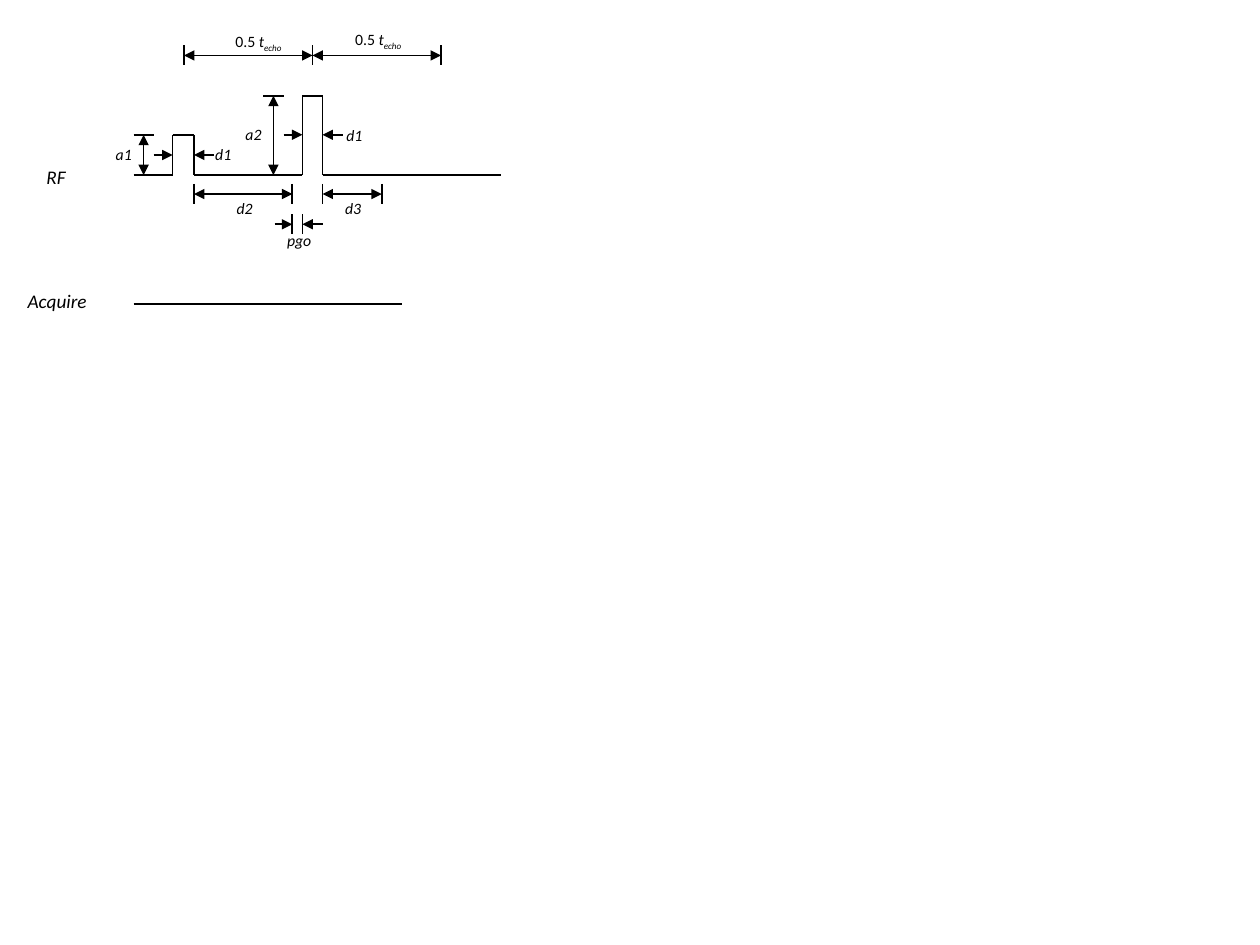
from itertools import pairwise

from lxml.etree import SubElement as Sub
from pptx import Presentation as Deck
from pptx.dml.color import RGBColor as Rgb
from pptx.enum.shapes import MSO_CONNECTOR as Link
from pptx.enum.text import MSO_AUTO_SIZE as Fit
from pptx.oxml.ns import qn
from pptx.util import Inches, Pt


def shade(code):
    return Rgb.from_string(code)


class Pen:
    """Draws timing lines, arrows and labels in one style on a slide."""

    ink = "000000"
    face = "Calibri"

    def __init__(self, slide):
        self.shapes = slide.shapes

    def line(self, start, end, head=False, tail=False):
        ends = [Inches(v) for v in (*start, *end)]
        link = self.shapes.add_connector(Link.STRAIGHT, *ends)
        link.line.width = Pt(1)
        link.line.color.rgb = shade(self.ink)
        stroke = link.line._get_or_add_ln()
        for tag, shown in {"a:headEnd": head, "a:tailEnd": tail}.items():
            if shown:
                Sub(stroke, qn(tag), type="triangle")
        Sub(link._element.spPr, qn("a:effectLst"))

    def trace(self, points):
        for start, end in pairwise(points):
            self.line(start, end)

    def span(self, start, end):
        self.line(start, end, head=True, tail=True)

    def arrow(self, start, end):
        self.line(start, end, tail=True)

    def ticks(self, y, *spots):
        for x in spots:
            self.line((x, y - 0.08), (x, y + 0.08))

    def rule(self, x, y):
        self.line((x - 0.08, y), (x + 0.08, y))

    def label(self, box, *runs, size=9):
        frame = self.shapes.add_textbox(*map(Inches, box)).text_frame
        frame.word_wrap = False
        frame.auto_size = Fit.SHAPE_TO_FIT_TEXT
        for text, slant, drop in runs:
            run = frame.paragraphs[0].add_run()
            run.text = text
            look = {"name": self.face, "size": Pt(size), "italic": slant}
            for key, value in look.items():
                setattr(run.font, key, value)
            run.font.color.rgb = shade(self.ink)
            if drop:
                run._r.get_or_add_rPr().set("baseline", "-25000")


def main():
    deck = Deck()
    deck.slide_width, deck.slide_height = Inches(10), Inches(7.5)
    pen = Pen(deck.slides.add_slide(deck.slide_layouts[6]))

    base, low, high = 1.39, 1.07, 0.76
    rise, fall = 1.37, 1.54
    left, right = 2.4, 2.56
    pen.trace([(1.06, base), (rise, base), (rise, low), (fall, low),
               (fall, base), (left, base), (left, high), (right, high),
               (right, base), (3.98, base)])
    pen.line((1.06, 2.41), (3.19, 2.41))

    echo = (1.46, 2.48, 3.5)
    pen.ticks(0.44, *echo)
    for start, end in pairwise(echo):
        pen.span((start, 0.44), (end, 0.44))
    for x, y in ((1.77, 0.2), (2.72, 0.19)):
        pen.label((x, y, 0.59, 0.25), ("0.5 ", False, False),
                  ("t", True, False), ("echo", True, True))

    for x, top in ((1.14, low), (2.17, high)):
        pen.span((x, top), (x, base))
        pen.rule(x, top)

    for near, far, y in ((rise, fall, 1.23), (left, right, low)):
        pen.arrow((near - 0.15, y), (near, y))
        pen.arrow((far + 0.16, y), (far, y))

    for start, end in ((fall, 2.32), (right, 3.03)):
        pen.span((start, 1.54), (end, 1.54))
        pen.ticks(1.54, start, end)

    pen.ticks(1.78, 2.32, left)
    pen.arrow((2.18, 1.78), (2.32, 1.78))
    pen.arrow((right, 1.78), (left, 1.78))

    names = [("a1", 0.82, 1.1), ("d1", 1.61, 1.1), ("d1", 2.65, 0.95),
             ("a2", 1.85, 0.94), ("d2", 1.78, 1.53), ("d3", 2.64, 1.53)]
    for text, x, y in names:
        pen.label((x, y, 0.33, 0.25), (text, True, False))
    pen.label((2.18, 1.78, 0.4, 0.25), ("pgo", True, False))
    for text, x, y, wide in (("RF", 0.27, 1.26, 0.36),
                             ("Acquire", 0.12, 2.25, 0.68)):
        pen.label((x, y, wide, 0.29), (text, True, False), size=11)

    deck.save("out.pptx")


if __name__ == "__main__":
    main()
